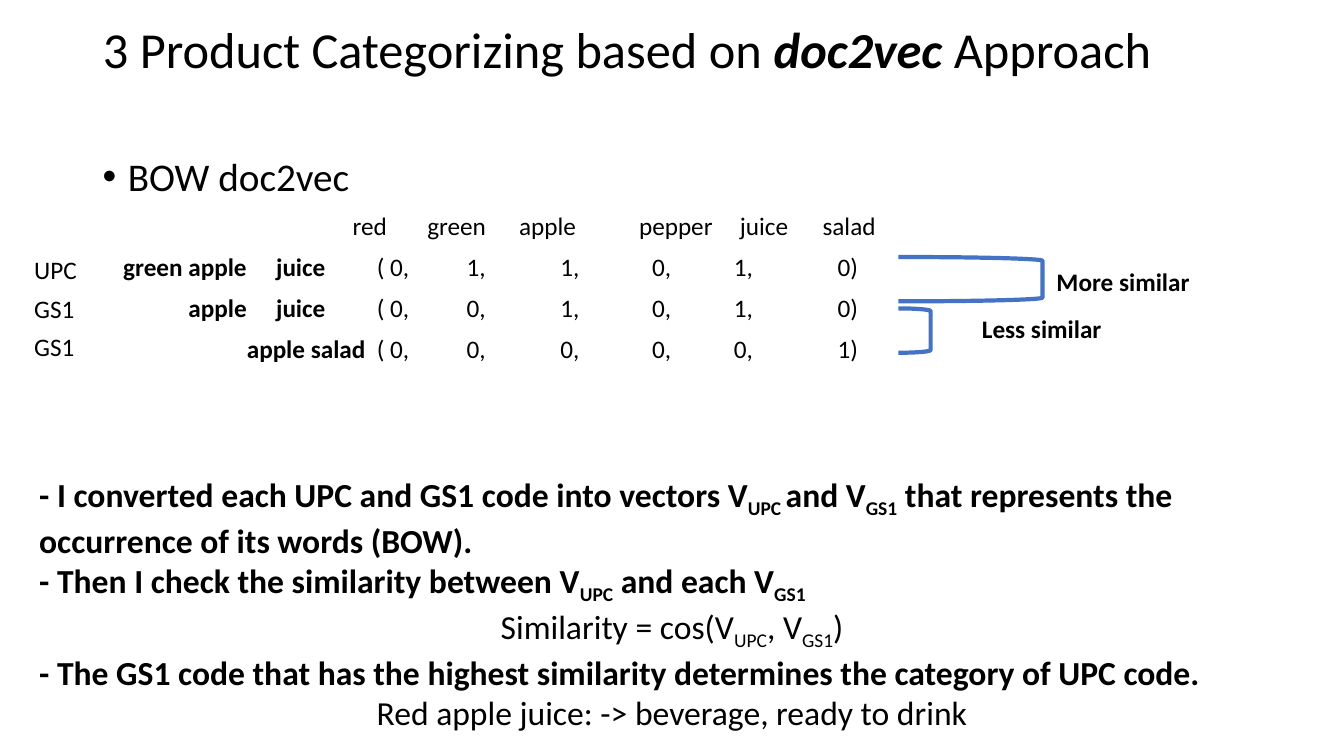
import pptx
import pptx.util
import pptx.dml.color
import pptx.enum.shapes
import pptx.enum.text
import pptx.oxml.ns
import lxml.etree

Inches = pptx.util.Inches
ALIGN = pptx.enum.text.PP_ALIGN
HEAD = ["red", "green", "apple", "pepper", "juice", "salad"]
HEAD_TABS = [(x, "l") for x in (2.48, 3.22, 4.13, 5.32, 6.32, 7.14)]
ROW_TABS = [(1.43, "r"), (2.21, "r")] + [
    (x, "l") for x in (2.72, 3.61, 4.54, 5.45, 6.26, 7.29)]
ROWS = [
    ("\tgreen apple\tjuice", [0, 1, 1, 0, 1, 0]),
    ("\tapple\tjuice", [0, 0, 1, 0, 1, 0]),
    ("\t\tapple salad", [0, 0, 0, 0, 0, 1]),
]
STEPS = [
    (True, ALIGN.LEFT, [
        "- I converted each UPC and GS1 code into vectors V", "UPC ",
        "and V", "GS1", " that represents the occurrence of its words (BOW)."]),
    (True, ALIGN.LEFT, [
        "- Then I check the similarity between V", "UPC", " and each V", "GS1"]),
    (False, ALIGN.CENTER, ["Similarity = cos(V", "UPC", ", V", "GS1", ")"]),
    (True, ALIGN.LEFT, [
        "- The GS1 code that has the highest similarity determines "
        "the category of UPC code."]),
    (False, ALIGN.CENTER, ["Red apple juice: -> beverage, ready to drink"]),
]


def color(code):
    return pptx.dml.color.RGBColor.from_string(code)


def add_run(par, text, size, bold=False, slant=False, sub=False):
    run = par.add_run()
    run.text = text
    font = run.font
    font.name = "Calibri"
    font.size = pptx.util.Pt(size)
    font.bold = bold
    font.italic = slant
    font.color.rgb = color("000000")
    if sub:
        font._element.set("baseline", "-25000")


def add_box(slide, left, top, width, height):
    box = slide.shapes.add_textbox(
        Inches(left), Inches(top), Inches(width), Inches(height))
    box.text_frame.word_wrap = True
    return box.text_frame


def add_label(slide, left, top, width, text, bold=False):
    frame = add_box(slide, left, top, width, 0.4)
    add_run(frame.paragraphs[0], text, 18, bold)


def add_child(node, tag, **attrs):
    return lxml.etree.SubElement(node, pptx.oxml.ns.qn(tag), attrs)


def set_tabs(par, stops):
    tabs = add_child(par._p.get_or_add_pPr(), "a:tabLst")
    for place, side in stops:
        add_child(tabs, "a:tab", pos=str(Inches(place)), algn=side)


def set_bullet(par):
    props = par._p.get_or_add_pPr()
    props.set("marL", str(Inches(0.25)))
    props.set("indent", str(-Inches(0.25)))
    add_child(props, "a:buFont", typeface="Arial")
    add_child(props, "a:buChar", char="•")


def add_line(frame, stops):
    par = frame.add_paragraph()
    set_tabs(par, stops)
    par.line_spacing = 0.9
    par.space_before = pptx.util.Pt(10)
    return par


def add_title(slide):
    title = slide.shapes.title
    title.left, title.top = Inches(0.92), Inches(-0.21)
    title.width, title.height = Inches(11.5), Inches(1.45)
    frame = title.text_frame
    frame.word_wrap = True
    frame.auto_size = pptx.enum.text.MSO_AUTO_SIZE.NONE
    frame.vertical_anchor = pptx.enum.text.MSO_ANCHOR.MIDDLE
    par = frame.paragraphs[0]
    par.alignment = ALIGN.LEFT
    par.line_spacing = 0.9
    add_run(par, "3 Product Categorizing based on ", 36)
    add_run(par, "doc2vec", 36, bold=True, slant=True)
    add_run(par, " Approach", 36)


def add_words(slide):
    frame = add_box(slide, 0.92, 1.51, 11.5, 2.3)
    par = frame.paragraphs[0]
    set_bullet(par)
    par.line_spacing = 0.9
    add_run(par, "BOW doc2vec", 28)
    add_run(add_line(frame, HEAD_TABS), "\t" + "\t".join(HEAD), 18)
    for name, counts in ROWS:
        par = add_line(frame, ROW_TABS)
        add_run(par, name, 18, bold=True)
        add_run(par, "\t( " + ",\t".join(map(str, counts)) + ")", 18)


def add_steps(slide):
    frame = add_box(slide, 0.29, 4.65, 12.75, 2.52)
    for i, (bold, align, parts) in enumerate(STEPS):
        par = frame.add_paragraph() if i else frame.paragraphs[0]
        par.alignment = align
        for j, text in enumerate(parts):
            add_run(par, text, 24, bold, sub=j % 2 == 1)


def add_brace(slide, top, width):
    brace = slide.shapes.add_shape(
        pptx.enum.shapes.MSO_SHAPE.RIGHT_BRACKET,
        Inches(8.91), Inches(top), Inches(width), Inches(0.44))
    brace.shadow.inherit = False
    brace.fill.background()
    brace.line.color.rgb = color("4472C4")
    brace.line.width = pptx.util.Pt(3)


def main():
    deck = pptx.Presentation()
    deck.slide_width, deck.slide_height = Inches(13.33), Inches(7.5)
    slide = deck.slides.add_slide(deck.slide_layouts[5])
    add_title(slide)
    add_words(slide)
    add_steps(slide)
    add_brace(slide, 2.55, 1.43)
    add_brace(slide, 3.06, 0.32)
    add_label(slide, 10.38, 2.59, 1.91, "More similar", True)
    add_label(slide, 9.64, 3.06, 1.91, "Less similar", True)
    for top, text in ((2.47, "UPC"), (2.86, "GS1"), (3.24, "GS1")):
        add_label(slide, 0.24, top, 1.19, text)
    deck.save("out.pptx")


if __name__ == "__main__":
    main()
